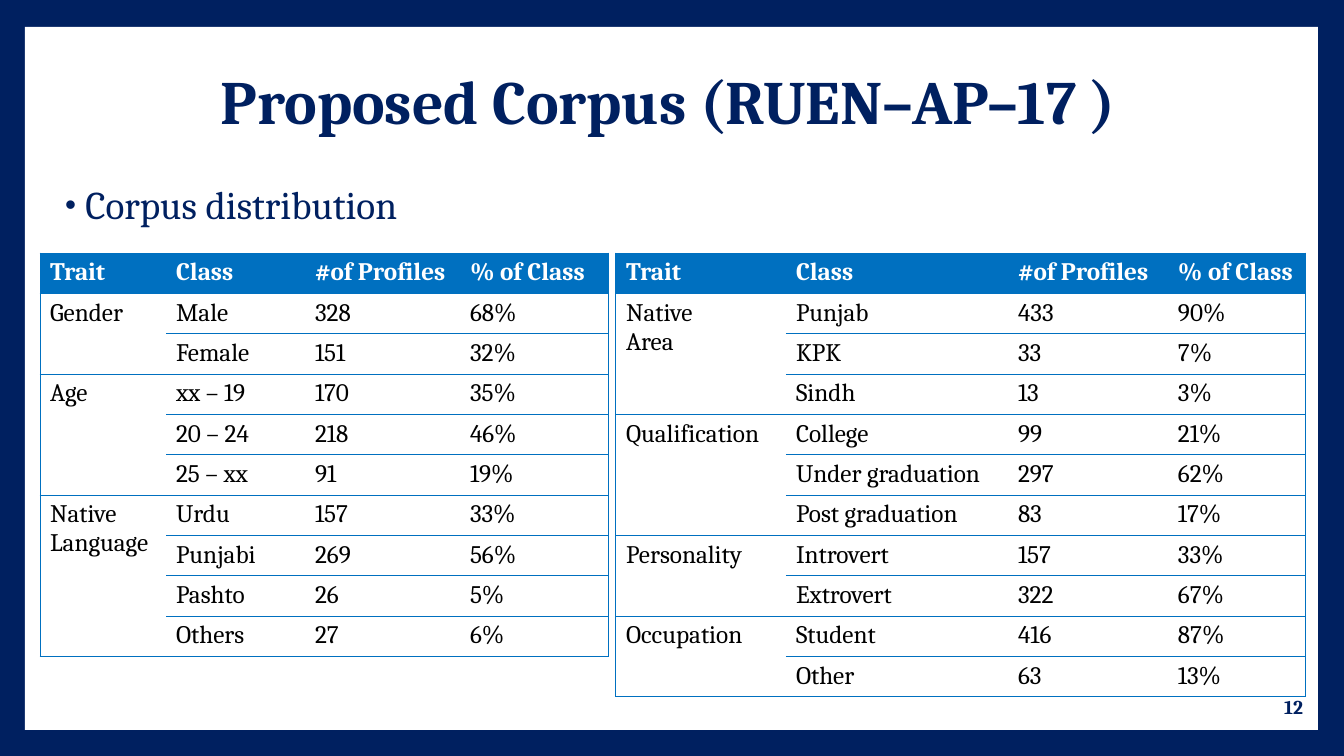
from lxml import etree
from pptx import Presentation
from pptx.dml.color import RGBColor
from pptx.enum.shapes import MSO_SHAPE
from pptx.enum.text import MSO_ANCHOR, PP_ALIGN
from pptx.oxml.ns import qn
from pptx.util import Pt

PX = 914400 / 100.8
RECT = MSO_SHAPE.RECTANGLE
TOP, MIDDLE = MSO_ANCHOR.TOP, MSO_ANCHOR.MIDDLE
LEFT, CENTER, RIGHT = PP_ALIGN.LEFT, PP_ALIGN.CENTER, PP_ALIGN.RIGHT
FONT = "Cambria"
COLORS = {"navy": "002060", "blue": "0070C0", "white": "FFFFFF", "black": "000000"}
ROW = 39
HEAD = ("Trait", "Class", "#of Profiles", "% of Class")

# Each trait with its (class, profiles, share) rows
PEOPLE = [
    ("Gender", [("Male", 328, 68), ("Female", 151, 32)]),
    ("Age", [("xx – 19", 170, 35), ("20 – 24", 218, 46), ("25 – xx", 91, 19)]),
    ("Native\nLanguage", [("Urdu", 157, 33), ("Punjabi", 269, 56),
                          ("Pashto", 26, 5), ("Others", 27, 6)]),
]
ORIGIN = [
    ("Native\nArea", [("Punjab", 433, 90), ("KPK", 33, 7), ("Sindh", 13, 3)]),
    ("Qualification", [("College", 99, 21), ("Under graduation", 297, 62),
                       ("Post graduation", 83, 17)]),
    ("Personality", [("Introvert", 157, 33), ("Extrovert", 322, 67)]),
    ("Occupation", [("Student", 416, 87), ("Other", 63, 13)]),
]


def emu(*sizes):
    return [round(size * PX) for size in sizes]


def color(name):
    return RGBColor.from_string(COLORS[name])


def write(frame, text, size=18, ink="navy", bold=False, align=LEFT, space=None):
    frame.word_wrap = True
    frame.text = text
    for para in frame.paragraphs:
        para.alignment = align
        para.line_spacing = space
        font = para.runs[0].font
        font.name, font.size, font.bold = FONT, Pt(size), bold
        font.color.rgb = color(ink)
    return frame.paragraphs[0]


def label(slide, box, text, anchor=TOP, **style):
    frame = slide.shapes.add_textbox(*emu(*box)).text_frame
    frame.vertical_anchor = anchor
    return write(frame, text, **style)


def bullet(para):
    para.space_before, para.space_after = Pt(2), Pt(4)
    props = para._p.get_or_add_pPr()
    props.set("marL", "457200")
    props.set("indent", "-182880")
    for tag, key, value in (("a:buSzPct", "val", "80000"),
                            ("a:buFont", "typeface", "Arial"),
                            ("a:buChar", "char", "•")):
        etree.SubElement(props, qn(tag)).set(key, value)


def edge(cell, sides):
    props = cell._tc.get_or_add_tcPr()
    for side in "LRTB":
        line = etree.SubElement(props, qn("a:ln" + side), w=str(Pt(0.79)))
        if side in sides:
            fill = etree.SubElement(line, qn("a:solidFill"))
            etree.SubElement(fill, qn("a:srgbClr"), val=COLORS["blue"])
        else:
            etree.SubElement(line, qn("a:noFill"))


def panel(slide, box):
    shape = slide.shapes.add_shape(RECT, *emu(*box))
    shape.shadow.inherit = False
    shape.fill.solid()
    shape.fill.fore_color.rgb = color("white")
    shape.line.fill.background()


def grid(slide, left, top, widths, groups):
    count = 1 + sum(len(rows) for _, rows in groups)
    box = emu(left, top, sum(widths), ROW * count)
    table = slide.shapes.add_table(count, len(widths), *box).table
    for col, width in zip(table.columns, emu(*widths)):
        col.width = width

    # Cell borders and fills
    for r in range(count):
        for c in range(len(widths)):
            cell = table.cell(r, c)
            edge(cell, "TB" + "L" * (c == 0) + "R" * (c == len(widths) - 1))
            if r == 0:
                cell.fill.solid()
                cell.fill.fore_color.rgb = color("blue")
                write(cell.text_frame, HEAD[c], ink="white", bold=True)
            else:
                cell.fill.background()

    # Traits, each spanning its classes
    start = 1
    for trait, rows in groups:
        first = table.cell(start, 0)
        first.merge(table.cell(start + len(rows) - 1, 0))
        write(first.text_frame, trait, ink="black")
        for r, (name, total, share) in enumerate(rows, start):
            for c, text in enumerate((name, str(total), f"{share}%"), 1):
                write(table.cell(r, c).text_frame, text, ink="black")
        start += len(rows)


def corpus(deck):
    slide = deck.slides.add_slide(deck.slide_layouts[6])
    slide.background.fill.solid()
    slide.background.fill.fore_color.rgb = color("navy")
    panel(slide, (25, 27, 1293, 703))

    # Heading, bullet and slide number
    label(slide, (25, 40, 1287, 129), "Proposed Corpus (RUEN–AP–17 )",
          anchor=MIDDLE, size=44, bold=True, align=CENTER, space=0.9)
    bullet(label(slide, (25, 181, 1287, 60), "Corpus distribution",
                 size=28, space=0.9))
    label(slide, (1125, 687, 188, 40), "12", anchor=MIDDLE,
          size=14, bold=True, align=RIGHT)

    # Distribution tables
    grid(slide, 40, 253, (126, 139, 155, 149), PEOPLE)
    grid(slide, 616, 253, (170, 222, 160, 138), ORIGIN)


def main():
    deck = Presentation()
    deck.slide_width, deck.slide_height = emu(1344, 756)
    corpus(deck)
    deck.save("out.pptx")


if __name__ == "__main__":
    main()
